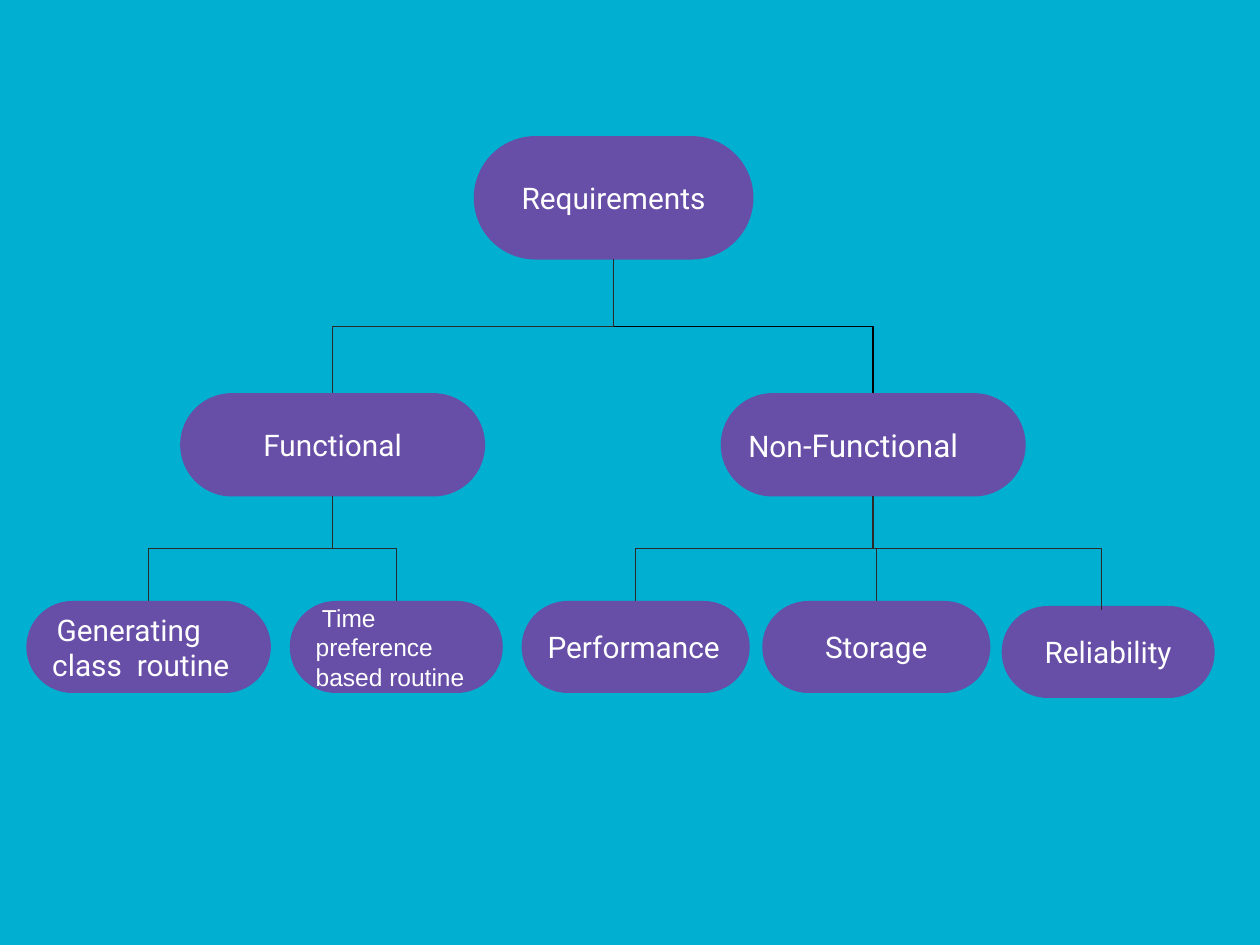
from dataclasses import dataclass

from lxml import etree
from pptx import Presentation
from pptx.dml.color import RGBColor
from pptx.enum.shapes import MSO_CONNECTOR, MSO_SHAPE
from pptx.enum.text import MSO_ANCHOR, PP_ALIGN
from pptx.oxml.ns import qn
from pptx.shapes.connector import Connector
from pptx.slide import Slide
from pptx.util import Inches, Pt

ELBOW = MSO_CONNECTOR.ELBOW
ROUNDED = MSO_SHAPE.ROUNDED_RECTANGLE
MIDDLE = MSO_ANCHOR.MIDDLE
LEFT, CENTER = PP_ALIGN.LEFT, PP_ALIGN.CENTER

TURQUOISE = RGBColor(0x01, 0xAF, 0xD1)
PURPLE = RGBColor(0x67, 0x4E, 0xA7)
WHITE = RGBColor(0xFF, 0xFF, 0xFF)
BLACK = RGBColor(0x00, 0x00, 0x00)
CHARCOAL = RGBColor(0x2D, 0x29, 0x29)
SLATE = RGBColor(0x1E, 0x2D, 0x31)

BRANCH_TOP, BRANCH_WIDTH, BRANCH_HEIGHT = 3.12, 2.42, 0.82
LEAF_TOP, LEAF_HEIGHT = 4.77, 0.73
INSET = 0.1
QUARTER_TURN = 5400000


@dataclass(frozen=True)
class Span:
    text: str
    size: int = 17


@dataclass(frozen=True)
class Node:
    left: float
    top: float
    width: float
    height: float
    spans: tuple[Span, ...]
    align: PP_ALIGN = CENTER
    font: str = "Roboto"

    @property
    def center(self) -> float:
        return self.left + self.width / 2

    @property
    def bottom(self) -> float:
        return self.top + self.height


@dataclass(frozen=True)
class Link:
    parent: Node
    child: Node
    color: RGBColor = CHARCOAL


def branch(left: float, *spans: Span, align: PP_ALIGN = CENTER) -> Node:
    return Node(left, BRANCH_TOP, BRANCH_WIDTH, BRANCH_HEIGHT, spans, align)


def leaf(left: float, width: float, *spans: Span, top: float = LEAF_TOP,
         align: PP_ALIGN = CENTER, font: str = "Roboto") -> Node:
    return Node(left, top, width, LEAF_HEIGHT, spans, align, font)


REQUIREMENTS = Node(3.76, 1.08, 2.22, 0.98, (Span("Requirements"),))
NON_FUNCTIONAL = branch(5.72, Span("Non"), Span("-Functional", 18), align=LEFT)
FUNCTIONAL = branch(1.43, Span("Functional"))
ROUTINE = leaf(0.21, 1.94, Span(" ", 10), Span("Generating class  routine"), align=LEFT)
PREFERENCE = leaf(2.3, 1.69, Span(" Time preference based routine", 14),
                  align=LEFT, font="Arial")
PERFORMANCE = leaf(4.14, 1.81, Span("Performance"), align=LEFT)
STORAGE = leaf(6.05, 1.81, Span("Storage"))
RELIABILITY = leaf(7.95, 1.69, Span("Reliability"), top=4.81)

NODES = (REQUIREMENTS, NON_FUNCTIONAL, FUNCTIONAL, ROUTINE, PREFERENCE,
         PERFORMANCE, STORAGE, RELIABILITY)
LINKS = (
    Link(REQUIREMENTS, NON_FUNCTIONAL, BLACK),
    Link(REQUIREMENTS, FUNCTIONAL),
    Link(FUNCTIONAL, PREFERENCE, SLATE),
    Link(FUNCTIONAL, ROUTINE),
    Link(NON_FUNCTIONAL, STORAGE),
    Link(NON_FUNCTIONAL, PERFORMANCE),
)


def draw_node(page: Slide, node: Node) -> None:
    box = page.shapes.add_shape(ROUNDED, Inches(node.left), Inches(node.top),
                                Inches(node.width), Inches(node.height))
    box.adjustments[0] = 0.5
    box.shadow.inherit = False
    box.fill.solid()
    box.fill.fore_color.rgb = PURPLE
    box.line.fill.background()
    frame = box.text_frame
    frame.word_wrap = True
    frame.vertical_anchor = MIDDLE
    frame.margin_left = frame.margin_right = Inches(INSET)
    frame.margin_top = frame.margin_bottom = Inches(INSET)
    paragraph = frame.paragraphs[0]
    paragraph.alignment = node.align
    paragraph.font.name = node.font
    paragraph.font.color.rgb = WHITE
    for span in node.spans:
        run = paragraph.add_run()
        run.text = span.text
        run.font.size = Pt(span.size)


def add_elbow(page: Slide, left: float, top: float, width: float, height: float,
              color: RGBColor) -> Connector:
    elbow = page.shapes.add_connector(ELBOW, Inches(left), Inches(top),
                                      Inches(left + width), Inches(top + height))
    elbow.line.color.rgb = color
    elbow.line.width = Pt(0.75)
    etree.SubElement(elbow._element.spPr, qn("a:effectLst"))
    return elbow


def draw_link(page: Slide, link: Link) -> None:
    start, end = link.parent.center, link.child.center
    drop = link.child.top - link.parent.bottom
    spread = abs(end - start)
    middle_x = (start + end) / 2
    middle_y = (link.parent.bottom + link.child.top) / 2
    elbow = add_elbow(page, middle_x - drop / 2, middle_y - spread / 2,
                      drop, spread, link.color)
    frame = elbow._element.spPr.find(qn("a:xfrm"))
    if end > start:
        frame.set("rot", str(3 * QUARTER_TURN))
        frame.set("flipH", "1")
    else:
        frame.set("rot", str(QUARTER_TURN))


def draw_side_link(page: Slide, parent: Node, child: Node) -> None:
    top = (parent.bottom + LEAF_TOP) / 2
    elbow = add_elbow(page, parent.center, top, 8.74 - parent.center,
                      child.top + 0.03 - top, CHARCOAL)
    guides = elbow._element.spPr.find(qn("a:prstGeom")).find(qn("a:avLst"))
    etree.SubElement(guides, qn("a:gd"), name="adj1", fmla="val 100000")


def main() -> None:
    deck = Presentation()
    deck.slide_width, deck.slide_height = Inches(10), Inches(7.5)
    page = deck.slides.add_slide(deck.slide_layouts[6])
    page.background.fill.solid()
    page.background.fill.fore_color.rgb = TURQUOISE
    for node in NODES:
        draw_node(page, node)
    for link in LINKS:
        draw_link(page, link)
    draw_side_link(page, NON_FUNCTIONAL, RELIABILITY)
    deck.save("out.pptx")


if __name__ == "__main__":
    main()
